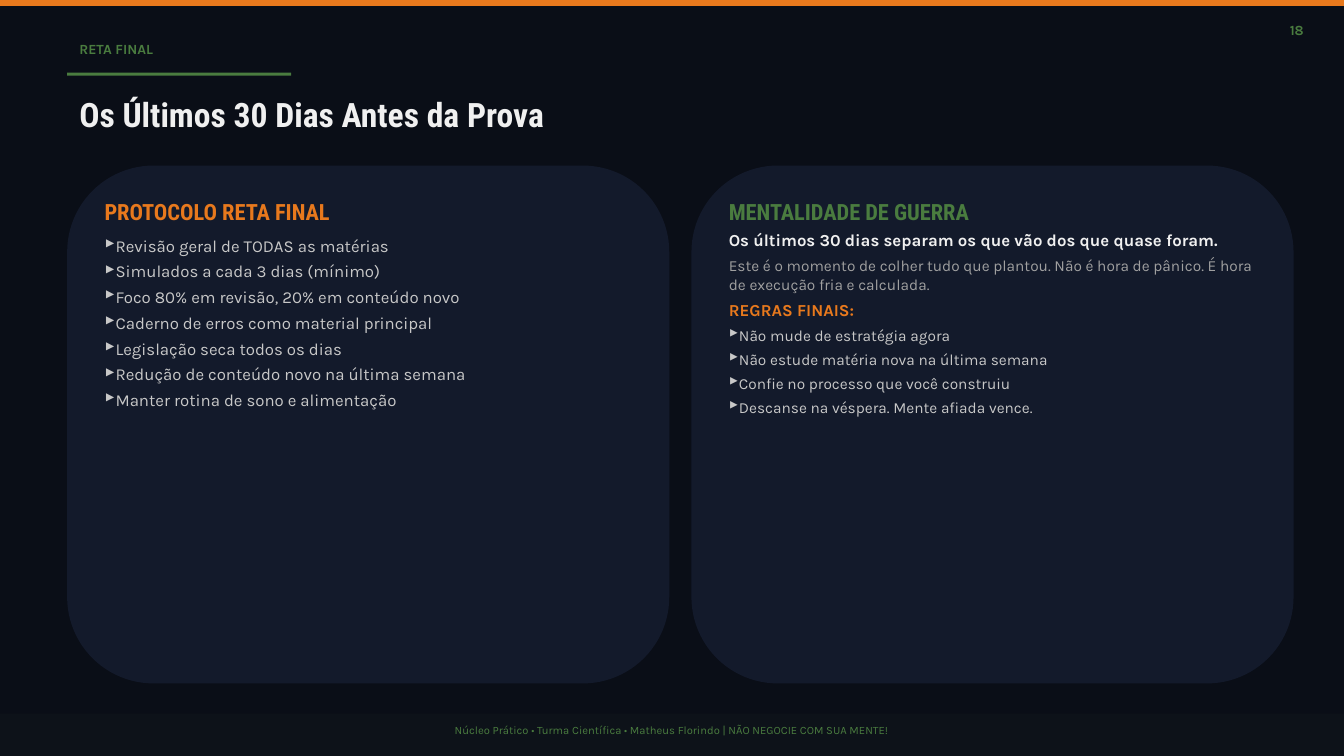
from lxml import etree
from pptx import Presentation
from pptx.dml.color import RGBColor
from pptx.enum.shapes import MSO_SHAPE
from pptx.enum.text import MSO_ANCHOR, PP_ALIGN
from pptx.oxml.ns import qn
from pptx.util import Inches, Pt

RECT, ROUNDED = MSO_SHAPE.RECTANGLE, MSO_SHAPE.ROUNDED_RECTANGLE
LEFT, CENTER, RIGHT = PP_ALIGN.LEFT, PP_ALIGN.CENTER, PP_ALIGN.RIGHT
TOP = MSO_ANCHOR.TOP

NIGHT = RGBColor(0x0A, 0x0E, 0x17)
PANEL = RGBColor(0x13, 0x1A, 0x2B)
FOOTER = RGBColor(0x0D, 0x12, 0x19)
ORANGE = RGBColor(0xE8, 0x79, 0x1D)
GREEN = RGBColor(0x4A, 0x7C, 0x3F)
WHITE = RGBColor(0xF0, 0xF0, 0xF0)
SILVER = RGBColor(0xC8, 0xC8, 0xC8)
GRAY = RGBColor(0xA0, 0xA0, 0xA0)

BODY, HEADING = "Karla", "Roboto Condensed"
WIDTH, HEIGHT = Inches(13.33), Inches(7.5)
MARGIN, PANEL_WIDTH, PANEL_GAP = 5, 44.8, 1.65
BULLET_GAP = 4

PROTOCOL = [
    "Revisão geral de TODAS as matérias",
    "Simulados a cada 3 dias (mínimo)",
    "Foco 80% em revisão, 20% em conteúdo novo",
    "Caderno de erros como material principal",
    "Legislação seca todos os dias",
    "Redução de conteúdo novo na última semana",
    "Manter rotina de sono e alimentação",
]
FINAL_RULES = [
    "Não mude de estratégia agora",
    "Não estude matéria nova na última semana",
    "Confie no processo que você construiu",
    "Descanse na véspera. Mente afiada vence.",
]


def place(x, y, width, height):
    """Turn percentages of the slide into a position and size."""
    return (int(WIDTH * x / 100), int(HEIGHT * y / 100),
            int(WIDTH * width / 100), int(HEIGHT * height / 100))


def add_block(slide, area, color, kind=RECT):
    """Add a flat filled shape without outline or shadow."""
    block = slide.shapes.add_shape(kind, *place(*area))
    block.shadow.inherit = False
    block.fill.solid()
    block.fill.fore_color.rgb = color
    block.line.fill.background()
    return block


def prepare_frame(frame):
    """Set wrapping, top anchoring and insets."""
    frame.word_wrap = True
    frame.vertical_anchor = TOP
    frame.margin_left = frame.margin_right = Inches(0.12)
    frame.margin_top = frame.margin_bottom = Inches(0.07)


def write(paragraph, text, size, color, bold=False, font=BODY, align=LEFT, before=0):
    """Write one styled run into a paragraph."""
    paragraph.alignment = align
    paragraph.space_before = Pt(before)
    run = paragraph.add_run()
    run.text = text
    run.font.name = font
    run.font.size = Pt(size)
    run.font.bold = bold
    run.font.color.rgb = color


def add_label(slide, area, text, size, color, **style):
    """Add a one-paragraph text box."""
    frame = slide.shapes.add_textbox(*place(*area)).text_frame
    prepare_frame(frame)
    write(frame.paragraphs[0], text, size, color, **style)


def add_panel(slide, column, heading, color):
    """Add a rounded panel with its heading and return its text frame."""
    x = MARGIN + column * (PANEL_WIDTH + PANEL_GAP)
    frame = add_block(slide, (x, 21.9, PANEL_WIDTH, 68.5), PANEL, ROUNDED).text_frame
    prepare_frame(frame)
    write(frame.paragraphs[0], heading, 16, color, bold=True, font=HEADING)
    return frame


def add_bullets(frame, items, size, first_gap=BULLET_GAP):
    """Append bulleted paragraphs, with their own gap above the first."""
    for index, item in enumerate(items):
        paragraph = frame.add_paragraph()
        write(paragraph, item, size, SILVER, before=BULLET_GAP if index else first_gap)
        properties = paragraph._p.get_or_add_pPr()
        properties.set("marL", "0")
        properties.set("indent", "0")
        etree.SubElement(properties, qn("a:buChar")).set("char", "▸")


def main():
    """Build the slide and save it."""
    deck = Presentation()
    deck.slide_width, deck.slide_height = WIDTH, HEIGHT
    slide = deck.slides.add_slide(deck.slide_layouts[6])
    slide.background.fill.solid()
    slide.background.fill.fore_color.rgb = NIGHT

    add_block(slide, (0, 0, 100, 0.8), ORANGE)
    add_label(slide, (92.7, 1.9, 5.2, 4.4), "18", 10, GREEN, bold=True, align=RIGHT)
    add_label(slide, (MARGIN, 4.4, 52, 4.4), "RETA FINAL", 10, GREEN, bold=True)
    add_block(slide, (MARGIN, 9.6, 16.67, 0.4), GREEN)
    add_label(slide, (MARGIN, 11.5, 90, 8.3), "Os Últimos 30 Dias Antes da Prova",
              24, WHITE, bold=True, font=HEADING)

    protocol = add_panel(slide, 0, "PROTOCOLO RETA FINAL", ORANGE)
    add_bullets(protocol, PROTOCOL, 12, first_gap=7.5)

    mindset = add_panel(slide, 1, "MENTALIDADE DE GUERRA", GREEN)
    write(mindset.add_paragraph(),
          "Os últimos 30 dias separam os que vão dos que quase foram.",
          12, WHITE, bold=True, before=3.5)
    write(mindset.add_paragraph(),
          "Este é o momento de colher tudo que plantou. Não é hora de pânico. "
          "É hora de execução fria e calculada.", 11, GRAY, before=4.7)
    write(mindset.add_paragraph(), "REGRAS FINAIS:", 12, ORANGE, bold=True, before=4.7)
    add_bullets(mindset, FINAL_RULES, 11)

    add_block(slide, (0, 94.4, 100, 5.6), FOOTER)
    add_label(slide, (0, 94.8, 100, 4.8),
              "Núcleo Prático • Turma Científica • Matheus Florindo | "
              "NÃO NEGOCIE COM SUA MENTE!", 8, GREEN, align=CENTER)
    deck.save("out.pptx")


if __name__ == "__main__":
    main()
